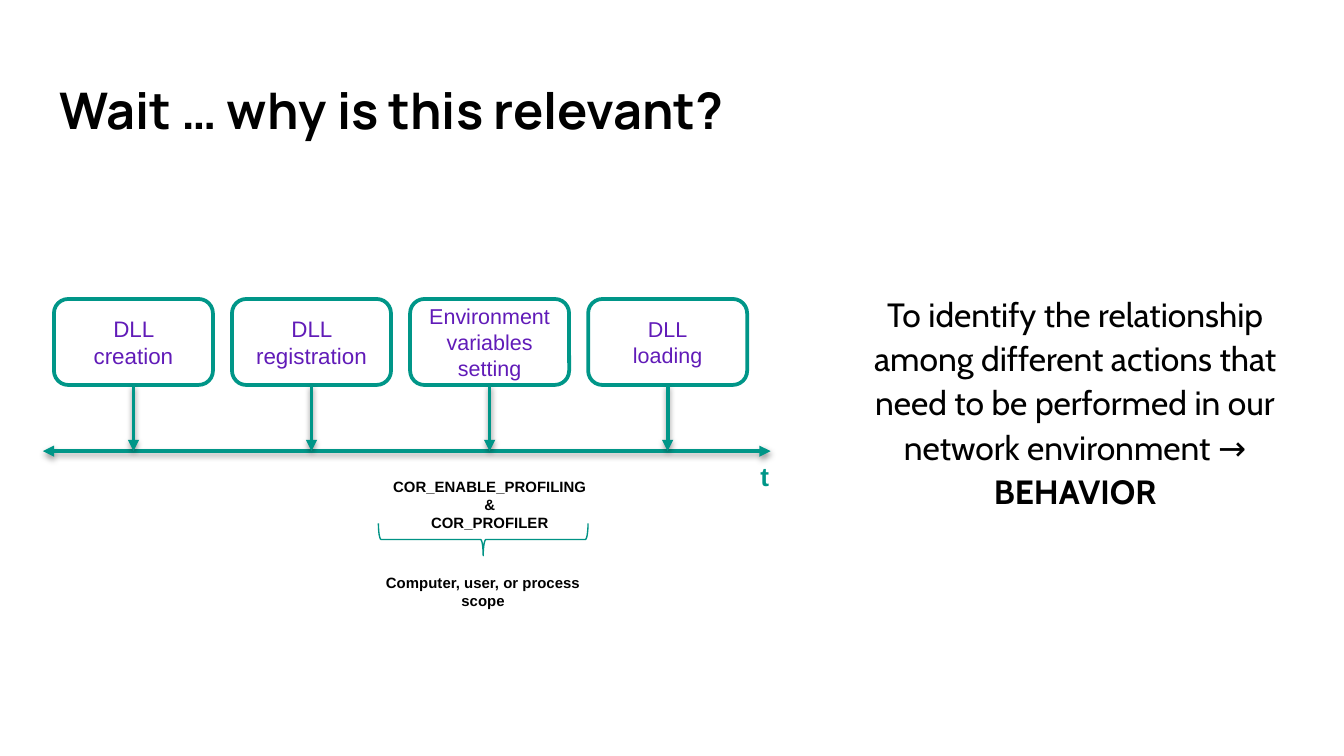
from lxml.etree import SubElement
from pptx import Presentation
from pptx.dml.color import RGBColor
from pptx.enum.shapes import MSO_CONNECTOR, MSO_SHAPE
from pptx.enum.text import MSO_ANCHOR, MSO_AUTO_SIZE, PP_ALIGN
from pptx.oxml.ns import qn
from pptx.util import Pt

TEAL = "009688"
BRACE_TEAL = "009385"
PURPLE = "611BB8"
BLACK = "000000"
WHITE = "FFFFFF"

STEPS = [
    ("DLL creation", 12),
    ("DLL registration", 12),
    ("Environment variables setting", 11.5),
    ("DLL\nloading", 11.5),
]
STEP_LEFT, STEP_TOP, STEP_WIDTH, STEP_HEIGHT = 28.9, 160.2, 85.2, 46.1
STEP_PITCH = 95.4
AXIS_Y = 241.7


def rgb(value):
    """Turn a hex string into a colour."""
    return RGBColor.from_string(value)


def write(frame, text, bold_end="", size=12, font="Arial", color=BLACK, bold=False,
          align=PP_ALIGN.CENTER, anchor=MSO_ANCHOR.TOP, insets=(7.2, 3.6),
          wrap=True, spacing=None, indent=0):
    """Fill a text frame with one formatted paragraph."""
    frame.auto_size = MSO_AUTO_SIZE.NONE
    frame.word_wrap = wrap
    frame.vertical_anchor = anchor
    frame.margin_left = frame.margin_right = Pt(insets[0])
    frame.margin_top = frame.margin_bottom = Pt(insets[1])
    paragraph = frame.paragraphs[0]
    paragraph.text = text
    paragraph.alignment = align
    if indent:
        paragraph._p.get_or_add_pPr().set("marL", str(Pt(indent)))
    if spacing:
        paragraph.line_spacing = spacing
    for run in paragraph.runs:
        run.font.bold = bold
    if bold_end:
        ending = paragraph.add_run()
        ending.text = bold_end
        ending.font.bold = True
    for part in [paragraph, *paragraph.runs]:
        part.font.size = Pt(size)
        part.font.name = font
        part.font.color.rgb = rgb(color)


def add_label(slide, left, top, width, height, text, **style):
    """Add a text box with formatted text."""
    label = slide.shapes.add_textbox(Pt(left), Pt(top), Pt(width), Pt(height))
    write(label.text_frame, text, **style)


def add_outline(slide, preset, left, top, width, height, color, weight):
    """Add an outlined preset shape without shadow."""
    outline = slide.shapes.add_shape(preset, Pt(left), Pt(top), Pt(width), Pt(height))
    outline.shadow.inherit = False
    outline.line.color.rgb = rgb(color)
    outline.line.width = Pt(weight)
    return outline


def add_arrow(slide, start, end, ends=("tailEnd",)):
    """Add a teal arrow with a soft shadow."""
    arrow = slide.shapes.add_connector(
        MSO_CONNECTOR.STRAIGHT, *(Pt(value) for value in (*start, *end)))
    arrow.line.color.rgb = rgb(TEAL)
    arrow.line.width = Pt(2)
    outline = arrow.line._get_or_add_ln()
    for end_tag in ends:
        SubElement(outline, qn(f"a:{end_tag}"), type="triangle")
    effects = SubElement(arrow._element.spPr, qn("a:effectLst"))
    shadow = SubElement(effects, qn("a:outerShdw"), blurRad=str(Pt(3.1)),
                        dist=str(Pt(1.6)), dir="5400000", rotWithShape="0")
    shade = SubElement(shadow, qn("a:srgbClr"), val=BLACK)
    SubElement(shade, qn("a:alpha"), val="38000")
    return arrow


def add_step(slide, index, text, size):
    """Add one step box and its arrow to the time axis."""
    left = STEP_LEFT + index * STEP_PITCH
    step = add_outline(slide, MSO_SHAPE.ROUNDED_RECTANGLE, left, STEP_TOP,
                       STEP_WIDTH, STEP_HEIGHT, TEAL, 2)
    step.fill.solid()
    step.fill.fore_color.rgb = rgb(WHITE)
    write(step.text_frame, text, size=size, color=PURPLE, anchor=MSO_ANCHOR.MIDDLE)
    center = left + STEP_WIDTH / 2
    arrow = add_arrow(slide, (center, STEP_TOP + STEP_HEIGHT), (center, AXIS_Y))
    arrow.begin_connect(step, 2)


def add_title(slide, text):
    """Place and format the title placeholder."""
    title = slide.shapes.title
    title.left, title.top, title.width, title.height = Pt(24.5), Pt(34.2), Pt(671), Pt(49)
    write(title.text_frame, text, size=27, font="Manrope", bold=True,
          align=PP_ALIGN.LEFT, anchor=MSO_ANCHOR.MIDDLE, insets=(7.2, 7.2))


def add_scope(slide):
    """Add the variable names, the brace and the scope note."""
    note = {"size": 8, "bold": True, "insets": (0, 3.6)}
    add_label(slide, 203, 252.4, 118.8, 36,
              "COR_ENABLE_PROFILING\n&\nCOR_PROFILER", **note)
    brace = add_outline(slide, MSO_SHAPE.RIGHT_BRACE, 250.2, 232.9, 17.3, 112.3,
                        BRACE_TEAL, 0.75)
    brace.fill.background()
    brace.rotation = 90
    add_label(slide, 199.4, 303.6, 118.8, 26.6,
              "Computer, user, or process scope", **note)


def main():
    """Build the slide and save it."""
    deck = Presentation()
    deck.slide_width, deck.slide_height = Pt(720), Pt(405)
    slide = deck.slides.add_slide(deck.slide_layouts[5])
    add_title(slide, "Wait … why is this relevant?")
    add_arrow(slide, (23, AXIS_Y), (412.8, AXIS_Y), ends=("headEnd", "tailEnd"))
    add_label(slide, 400.3, 243, 19.4, 24.5, "t", size=14, color=TEAL, bold=True,
              align=PP_ALIGN.LEFT, wrap=False)
    for index, (text, size) in enumerate(STEPS):
        add_step(slide, index, text, size)
    add_scope(slide)
    add_label(slide, 431.3, 149, 280.8, 131,
              "To identify the relationship among different actions that need "
              "to be performed in our network environment → ",
              bold_end="BEHAVIOR", size=18, font="Cabin", anchor=MSO_ANCHOR.MIDDLE,
              insets=(12, 7.2), spacing=1.1, indent=8.6)
    deck.save("out.pptx")


if __name__ == "__main__":
    main()
